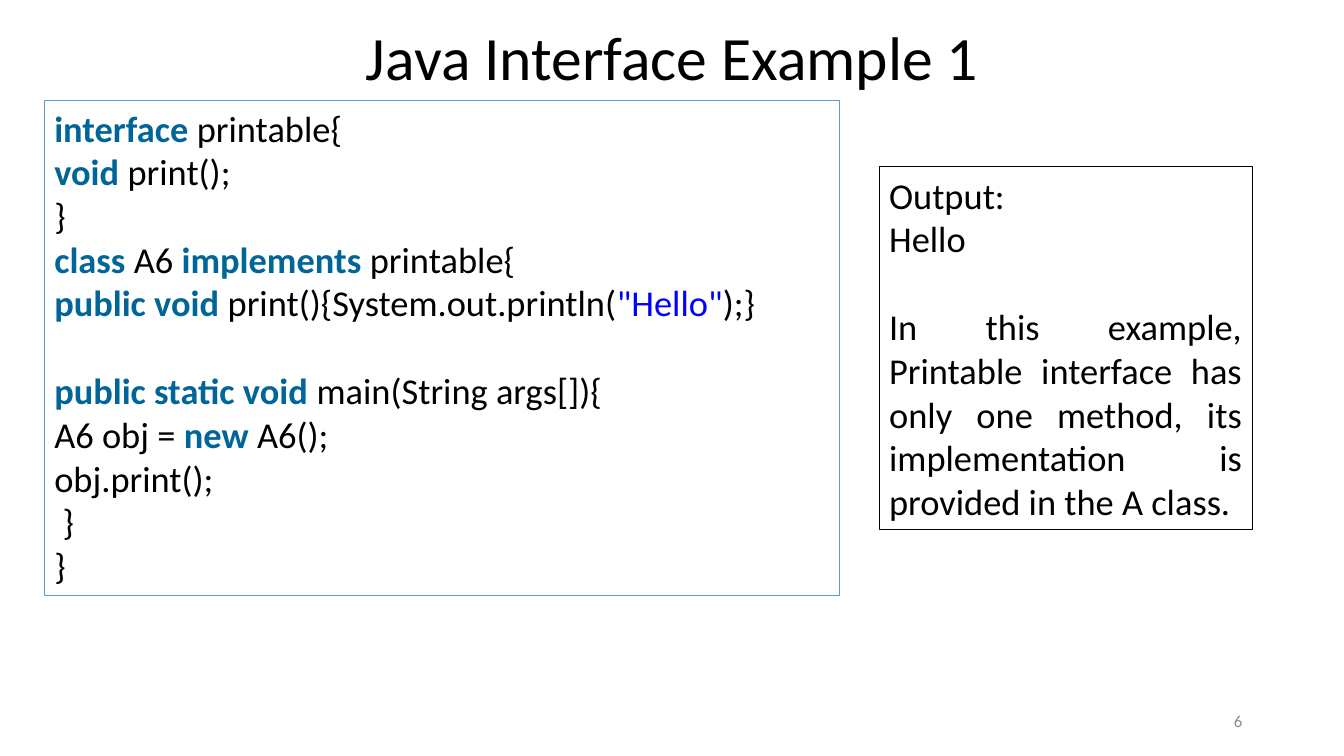
import pptx
import pptx.dml.color
import pptx.enum.shapes
import pptx.enum.text
import pptx.util

ALIGN = pptx.enum.text.PP_ALIGN
ANCHOR = pptx.enum.text.MSO_ANCHOR
BLACK, KEYWORD, STRING = "000000", "006699", "0000FF"
FONT = "Calibri"
BODY_SIZE = 26
BLANK_LINE = 31.74
KEYWORDS = {"interface", "void", "class", "implements", "public", "static", "new"}

CODE = """interface printable{
void print();
}
class A6 implements printable{
public void print(){System.out.println("Hello");}

public static void main(String args[]){
A6 obj = new A6();
obj.print();
 }
}"""
OUTPUT = """Output:
Hello

In this example, Printable interface has only one method, its implementation is provided in the A class."""


def color(hex_value):
    """Return the RGB colour for a hex string."""
    return pptx.dml.color.RGBColor.from_string(hex_value)


def style(run, size, hex_value=BLACK, bold=False):
    """Format one run."""
    run.font.name = FONT
    run.font.size = pptx.util.Pt(size)
    run.font.bold = bold
    run.font.color.rgb = color(hex_value)


def add_label(slide, box, text, size, align, hex_value=BLACK, line_spacing=1.0):
    """Add a single line of text, vertically centred in its box."""
    shape = slide.shapes.add_textbox(*map(pptx.util.Inches, box))
    frame = shape.text_frame
    frame.word_wrap = True
    frame.vertical_anchor = ANCHOR.MIDDLE
    frame.text = text
    paragraph = frame.paragraphs[0]
    paragraph.alignment = align
    paragraph.line_spacing = line_spacing
    style(paragraph.runs[0], size, hex_value)


def add_frame(slide, box, line_color, anchor):
    """Add an unfilled outlined rectangle and return its text frame."""
    shape = slide.shapes.add_shape(
        pptx.enum.shapes.MSO_SHAPE.RECTANGLE, *map(pptx.util.Inches, box))
    shape.shadow.inherit = False
    shape.fill.background()
    shape.line.color.rgb = color(line_color)
    shape.line.width = pptx.util.Pt(0.75)
    shape.text_frame.word_wrap = True
    shape.text_frame.vertical_anchor = anchor
    return shape.text_frame


def add_lines(frame, text, align):
    """Yield a paragraph with each line, turning empty lines into space before."""
    paragraph, gap = frame.paragraphs[0], 0
    for index, line in enumerate(text.split("\n")):
        if not line:
            gap += BLANK_LINE
            continue
        if index:
            paragraph = frame.add_paragraph()
        paragraph.alignment = align
        paragraph.space_before = pptx.util.Pt(gap)
        gap = 0
        yield paragraph, line


def code_pieces(line):
    """Split a line of code into pieces of text with their colours."""
    for index, part in enumerate(line.split('"')):
        if index % 2:
            yield f'"{part}"', STRING
            continue
        words = part.split(" ")
        for position, word in enumerate(words):
            space = " " if position < len(words) - 1 else ""
            if word + space:
                yield word + space, KEYWORD if word in KEYWORDS else BLACK


def add_code(slide, box):
    """Add the program listing with highlighted syntax."""
    frame = add_frame(slide, box, "5B9BD5", ANCHOR.TOP)
    for paragraph, line in add_lines(frame, CODE, ALIGN.LEFT):
        for text, hex_value in code_pieces(line):
            run = paragraph.add_run()
            run.text = text
            style(run, BODY_SIZE, hex_value, hex_value == KEYWORD)


def add_output(slide, box):
    """Add the program output and its explanation."""
    frame = add_frame(slide, box, BLACK, ANCHOR.MIDDLE)
    for paragraph, line in add_lines(frame, OUTPUT, ALIGN.JUSTIFY):
        paragraph.text = line
        style(paragraph.runs[0], BODY_SIZE)


def main():
    """Build and save the slide."""
    presentation = pptx.Presentation()
    presentation.slide_width = pptx.util.Inches(13.33)
    presentation.slide_height = pptx.util.Inches(7.5)
    slide = presentation.slides.add_slide(presentation.slide_layouts[6])
    add_label(slide, (0.92, 0.2, 11.5, 0.8), "Java Interface Example 1", 44,
              ALIGN.CENTER, line_spacing=0.9)
    add_code(slide, (0.44, 1, 7.89, 4.91))
    add_output(slide, (8.72, 1.65, 3.7, 3.6))
    add_label(slide, (9.42, 6.95, 3, 0.4), "6", 12, ALIGN.RIGHT, "8C8C8C")
    presentation.save("out.pptx")


if __name__ == "__main__":
    main()
